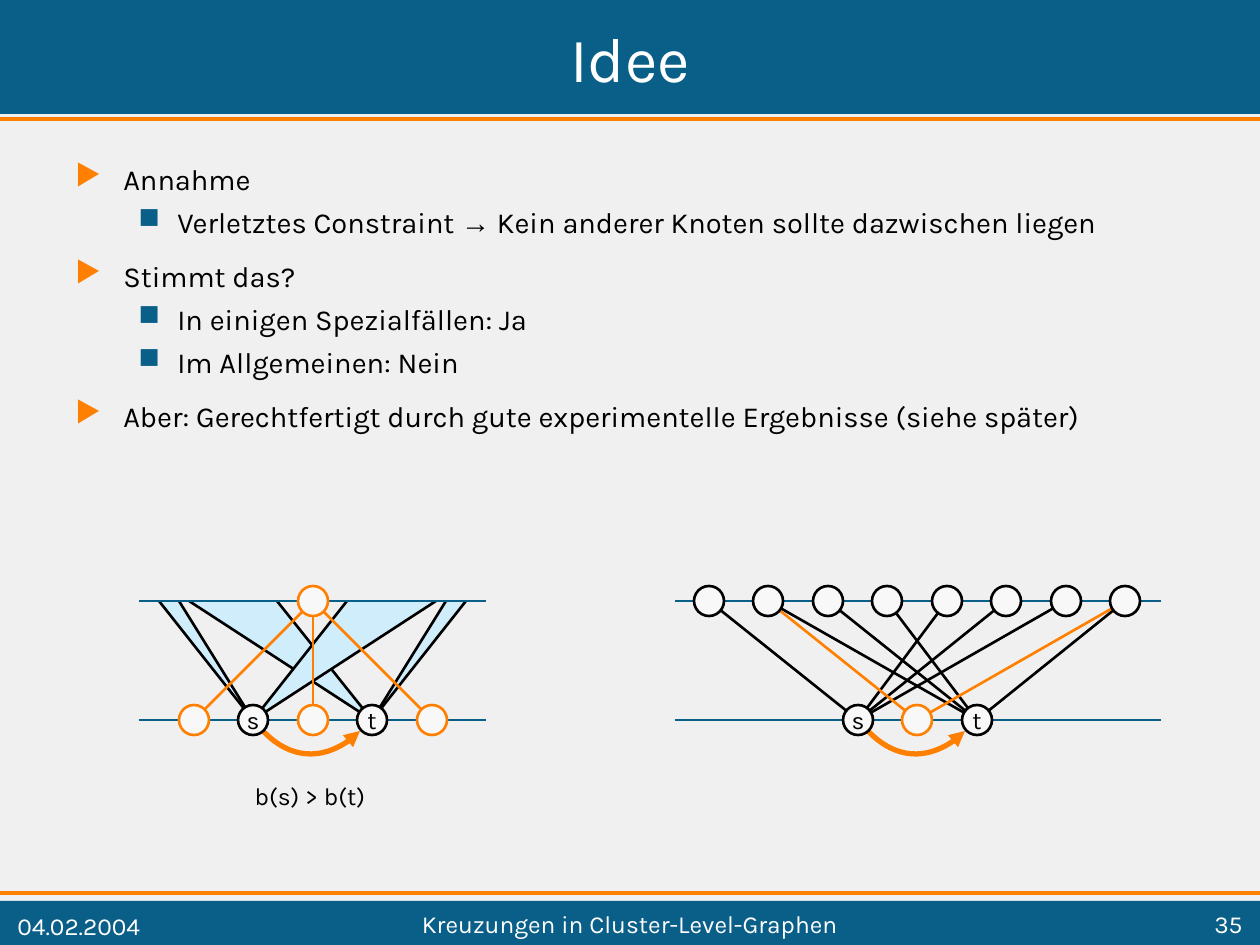
from dataclasses import dataclass

from lxml import etree
from pptx import Presentation
from pptx.dml.color import RGBColor
from pptx.enum.shapes import MSO_CONNECTOR, MSO_SHAPE
from pptx.enum.text import MSO_ANCHOR, PP_ALIGN
from pptx.oxml.ns import qn
from pptx.util import Pt

RECTANGLE, OVAL = MSO_SHAPE.RECTANGLE, MSO_SHAPE.OVAL
STRAIGHT = MSO_CONNECTOR.STRAIGHT
LEFT, CENTER, RIGHT = PP_ALIGN.LEFT, PP_ALIGN.CENTER, PP_ALIGN.RIGHT
TOP, MIDDLE = MSO_ANCHOR.TOP, MSO_ANCHOR.MIDDLE

EMU_PER_PX = 914400 / 126
WIDTH, HEIGHT = 1260, 945
UPPER, LOWER = 601, 720  # heights of the two graph levels
NODE_SIZE = 30
NODE_PITCH = 119  # distance between every second node


@dataclass(frozen=True)
class Theme:
    background: RGBColor = RGBColor(0xF0, 0xF0, 0xF0)
    blue: RGBColor = RGBColor(0x0A, 0x5F, 0x89)
    orange: RGBColor = RGBColor(0xFF, 0x7F, 0x00)
    black: RGBColor = RGBColor(0, 0, 0)
    white: RGBColor = RGBColor(0xFF, 0xFF, 0xFF)
    node: RGBColor = RGBColor(0xF8, 0xF8, 0xF8)
    wedge: RGBColor = RGBColor(0xD0, 0xED, 0xFC)
    font: str = "Karla"
    symbol_font: str = "Arial"
    title_size: float = 36
    body_size: float = 16.6
    small_size: float = 14
    rule_width: float = 2.25
    line_width: float = 1.5
    arrow_width: float = 3


THEME = Theme()


@dataclass(frozen=True)
class Label:
    text: str
    box: tuple[int, int, int, int]
    align: PP_ALIGN = CENTER
    color: RGBColor = THEME.white
    size: float = THEME.small_size
    anchor: MSO_ANCHOR = MIDDLE


@dataclass(frozen=True)
class BulletStyle:
    character: str
    color: RGBColor
    margin: int
    hanging: int
    space_before: float


@dataclass(frozen=True)
class Bullet:
    style: BulletStyle
    runs: tuple[str, ...]


@dataclass(frozen=True)
class Edge:
    lower: int
    upper: int
    color: RGBColor = THEME.black


@dataclass(frozen=True)
class Node:
    x: int
    y: int
    color: RGBColor = THEME.black
    text: str = ""


TOPIC = BulletStyle("▶", THEME.orange, 48, 48, 11.2)
DETAIL = BulletStyle("■", THEME.blue, 102, 39, 4.5)
BULLETS = (
    Bullet(TOPIC, ("Annahme",)),
    Bullet(DETAIL, ("Verletztes Constraint ", "→", " Kein anderer Knoten sollte dazwischen liegen")),
    Bullet(TOPIC, ("Stimmt das?",)),
    Bullet(DETAIL, ("In einigen Spezialfällen: Ja",)),
    Bullet(DETAIL, ("Im Allgemeinen: Nein",)),
    Bullet(TOPIC, ("Aber: Gerechtfertigt durch gute experimentelle Ergebnisse (siehe später)",)),
)
LABELS = (
    Label("Idee", (5, 5, 1250, 105), size=THEME.title_size),
    Label("b(s) > b(t)", (223, 775, 174, 43), color=THEME.black, anchor=TOP),
    Label("Kreuzungen in Cluster-Level-Graphen", (164, 906, 932, 35)),
    Label("35", (1106, 906, 149, 35), align=RIGHT),
    Label("04.02.2004", (5, 906, 199, 39), align=LEFT),
)


def px(length: float) -> int:
    return round(length * EMU_PER_PX)


def columns(first: int, count: int) -> list[int]:
    return [first + NODE_PITCH * index // 2 for index in range(count)]


def add_line(shapes, start: tuple[int, int], end: tuple[int, int],
             color: RGBColor, width: float = THEME.line_width) -> None:
    line = shapes.add_connector(STRAIGHT, *map(px, start + end))
    line.line.color.rgb = color
    line.line.width = Pt(width)
    etree.SubElement(line.element.spPr, qn("a:effectLst"))


def add_shape(shapes, kind: MSO_SHAPE, box: tuple[int, int, int, int], fill: RGBColor):
    shape = shapes.add_shape(kind, *map(px, box))
    shape.shadow.inherit = False
    shape.fill.solid()
    shape.fill.fore_color.rgb = fill
    shape.line.fill.background()
    return shape


def add_freeform(shapes, points: list[tuple[int, int]], close: bool):
    builder = shapes.build_freeform(*points[0], scale=EMU_PER_PX)
    builder.add_line_segments(points[1:], close=close)
    shape = builder.convert_to_shape()
    shape.shadow.inherit = False
    return shape


def format_run(run, color: RGBColor, size: float, font: str = THEME.font) -> None:
    run.font.name = font
    run.font.size = Pt(size)
    run.font.color.rgb = color


def add_label(shapes, label: Label) -> None:
    frame = shapes.add_textbox(*map(px, label.box)).text_frame
    frame.word_wrap = True
    frame.vertical_anchor = label.anchor
    frame.text = label.text
    frame.paragraphs[0].alignment = label.align
    format_run(frame.paragraphs[0].runs[0], label.color, label.size)


def add_bullets(shapes, box: tuple[int, int, int, int], bullets: tuple[Bullet, ...]) -> None:
    frame = shapes.add_textbox(*map(px, box)).text_frame
    frame.word_wrap = True
    for index, bullet in enumerate(bullets):
        paragraph = frame.add_paragraph() if index else frame.paragraphs[0]
        style = bullet.style
        paragraph.level = int(style is DETAIL)
        if index:
            paragraph.space_before = Pt(style.space_before)
        properties = paragraph._p.get_or_add_pPr()
        properties.set("marL", str(px(style.margin)))
        properties.set("indent", str(-px(style.hanging)))
        color = etree.SubElement(properties, qn("a:buClr"))
        etree.SubElement(color, qn("a:srgbClr"), val=str(style.color))
        etree.SubElement(properties, qn("a:buChar"), char=style.character)
        for text in bullet.runs:
            run = paragraph.add_run()
            run.text = text
            font = THEME.symbol_font if text == "→" else THEME.font
            format_run(run, THEME.black, THEME.body_size, font)


def add_wedge(shapes, apex: int, first: int, second: int) -> None:
    """Fill the fan from a lower node to a stretch of the upper level and edge its sides."""
    tip = (apex, LOWER)
    corners = [(first, UPPER), (second, UPPER)]
    wedge = add_freeform(shapes, [tip, *corners], close=True)
    wedge.fill.solid()
    wedge.fill.fore_color.rgb = THEME.wedge
    wedge.line.fill.background()
    for corner in corners:
        add_line(shapes, tip, corner, THEME.black)


def add_swap_arrow(shapes, source: int) -> None:
    """Draw the bent arrow from node s to node t below the lower level."""
    left, top = source + 10, LOWER + 11
    points = [(left, top), (left + 28, top + 29), (left + 69, top + 29), (left + 97, top)]
    arrow = add_freeform(shapes, points, close=False)
    arrow.fill.background()
    arrow.line.color.rgb = THEME.orange
    arrow.line.width = Pt(THEME.arrow_width)
    etree.SubElement(arrow.line._get_or_add_ln(), qn("a:tailEnd"), type="triangle")
    segments = list(arrow.element.iter(qn("a:lnTo")))
    curve = etree.SubElement(segments[0].getparent(), qn("a:cubicBezTo"))
    for segment in segments:
        curve.append(segment[0])
        segment.getparent().remove(segment)


def add_levels(shapes, left: int, right: int) -> None:
    for y in (LOWER, UPPER):
        add_line(shapes, (left, y), (right, y), THEME.blue)


def add_edge(shapes, edge: Edge) -> None:
    add_line(shapes, (edge.lower, LOWER), (edge.upper, UPPER), edge.color)


def add_node(shapes, node: Node) -> None:
    half = NODE_SIZE // 2
    shape = add_shape(shapes, OVAL, (node.x - half, node.y - half, NODE_SIZE, NODE_SIZE), THEME.node)
    shape.line.color.rgb = node.color
    shape.line.width = Pt(THEME.line_width)
    if node.text:
        frame = shape.text_frame
        frame.word_wrap = False
        frame.vertical_anchor = MIDDLE
        frame.text = node.text
        frame.paragraphs[0].alignment = CENTER
        format_run(frame.paragraphs[0].runs[0], THEME.black, THEME.small_size)


def add_wedge_graph(shapes) -> None:
    first, s, middle, t, last = columns(194, 5)
    for apex, left, right in ((t, 189, 277), (t, 446, 466), (s, 436, 347), (s, 179, 159)):
        add_wedge(shapes, apex, left, right)
    add_levels(shapes, 139, 486)
    add_swap_arrow(shapes, s)
    for x in (first, middle, last):
        add_edge(shapes, Edge(x, middle, THEME.orange))
        add_node(shapes, Node(x, LOWER, THEME.orange))
    for node in (Node(middle, UPPER, THEME.orange), Node(s, LOWER, text="s"), Node(t, LOWER, text="t")):
        add_node(shapes, node)


def add_example_graph(shapes) -> None:
    upper = columns(709, 8)
    s, middle, t = columns(858, 3)
    neighbours = ((s, (4, 5, 6, 0), THEME.black), (t, (3, 2, 1, 7), THEME.black),
                  (middle, (7, 1), THEME.orange))
    for lower, indices, color in neighbours:
        for index in indices:
            add_edge(shapes, Edge(lower, upper[index], color))
    add_levels(shapes, 675, 1161)
    add_swap_arrow(shapes, s)
    nodes = [Node(x, UPPER) for x in upper]
    nodes += [Node(middle, LOWER, THEME.orange), Node(s, LOWER, text="s"), Node(t, LOWER, text="t")]
    for node in nodes:
        add_node(shapes, node)


def main() -> None:
    presentation = Presentation()
    presentation.slide_width, presentation.slide_height = px(WIDTH), px(HEIGHT)
    slide = presentation.slides.add_slide(presentation.slide_layouts[6])
    slide.background.fill.solid()
    slide.background.fill.fore_color.rgb = THEME.background
    shapes = slide.shapes
    for top, height, rule in ((0, 114, 119), (901, 44, 893)):
        add_shape(shapes, RECTANGLE, (0, top, WIDTH, height), THEME.blue)
        add_line(shapes, (0, rule), (WIDTH, rule), THEME.orange, THEME.rule_width)
    add_bullets(shapes, (63, 155, 1134, 347), BULLETS)
    add_wedge_graph(shapes)
    add_example_graph(shapes)
    for label in LABELS:
        add_label(shapes, label)
    presentation.save("out.pptx")


if __name__ == "__main__":
    main()
